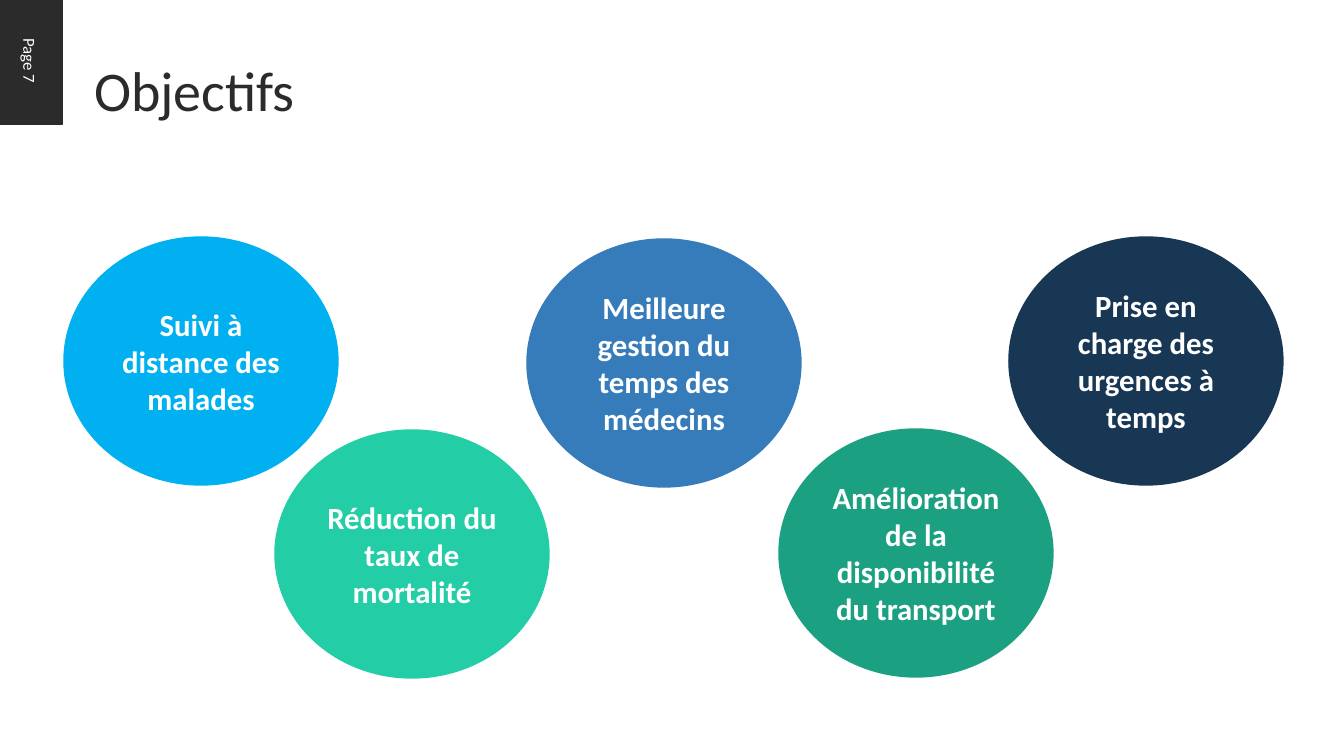
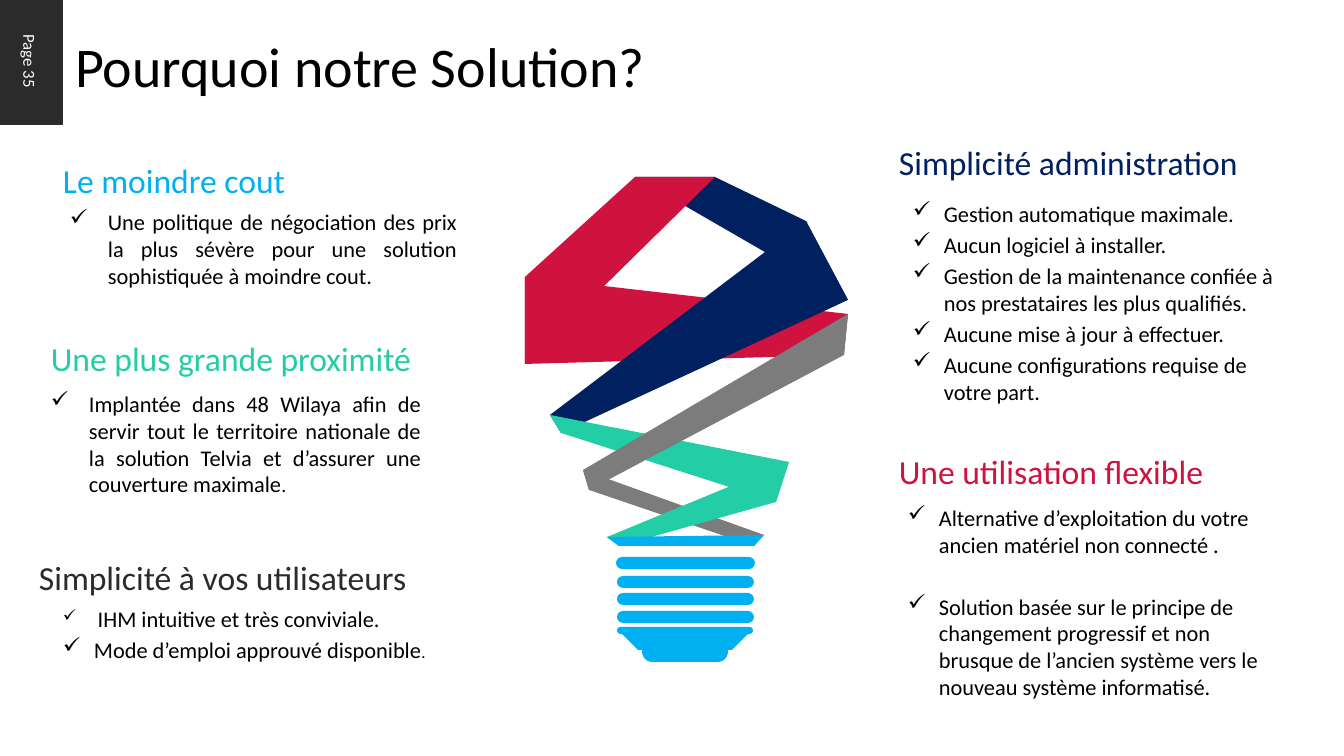
from lxml import etree
from pptx import Presentation
from pptx.dml.color import RGBColor
from pptx.enum.shapes import MSO_SHAPE
from pptx.enum.text import MSO_ANCHOR, MSO_AUTO_SIZE, PP_ALIGN
from pptx.oxml.ns import qn
from pptx.util import Pt

SCALE = 914400 / 100.8  # EMU in one px
FONT = "Calibri"
COLORS = {
    "dark": "2B2B2B", "white": "FFFFFF", "black": "000000", "sky": "00B0F0",
    "blue": "367BBA", "mint": "23CDA5", "night": "183754", "green": "1BA181",
    "navy": "002060", "red": "CF123E", "gray": "7C7C7C",
}


def px(*lengths):
    return [round(n * SCALE) for n in lengths]


def rgb(name):
    return RGBColor.from_string(COLORS[name])


def write(p, text, size=16, color="black", bold=False, align=PP_ALIGN.LEFT):
    """Fill a paragraph with a string, or with a list of (string, size) runs."""
    p.alignment = align
    runs = [(text, size)] if isinstance(text, str) else text
    for part, part_size in runs:
        r = p.add_run()
        r.text = part
        r.font.name = FONT
        r.font.size = Pt(part_size)
        r.font.bold = bold
        r.font.color.rgb = rgb(color)


def add_check(p, indent):
    """Give a paragraph a hanging check mark."""
    pPr = p._p.get_or_add_pPr()
    width, = px(indent)
    pPr.set("marL", str(width))
    pPr.set("indent", str(-width))
    etree.SubElement(pPr, qn("a:buChar")).set("char", "✓")


class Deck:
    def __init__(self):
        self.prs = Presentation()
        self.prs.slide_width, self.prs.slide_height = px(1344, 756)
        self.slide = None

    def new_slide(self, title, page, box, color):
        self.slide = self.prs.slides.add_slide(self.prs.slide_layouts[5])
        sp = self.slide.shapes.title
        sp.left, sp.top, sp.width, sp.height = px(*box)
        tf = sp.text_frame
        tf.auto_size = MSO_AUTO_SIZE.NONE
        tf.vertical_anchor = MSO_ANCHOR.TOP
        write(tf.paragraphs[0], title, size=40, color=color)
        tab = self.shape(MSO_SHAPE.RECTANGLE, (-34, 29, 128, 64), "dark", line=0.75)
        tab.rotation = 90
        self.label(tab, f"Page {page}", size=12)

    def paint(self, sp, color, line=0):
        sp.shadow.inherit = False
        sp.fill.solid()
        sp.fill.fore_color.rgb = rgb(color)
        if line:
            sp.line.color.rgb = rgb(color)
            sp.line.width = Pt(line)
        else:
            sp.line.fill.background()

    def shape(self, kind, box, color, line=0):
        sp = self.slide.shapes.add_shape(kind, *px(*box))
        self.paint(sp, color, line)
        return sp

    def label(self, sp, text, **style):
        tf = sp.text_frame
        tf.word_wrap = True
        tf.vertical_anchor = MSO_ANCHOR.MIDDLE
        write(tf.paragraphs[0], text, color="white", align=PP_ALIGN.CENTER, **style)

    def circle(self, x, y, color, text):
        sp = self.shape(MSO_SHAPE.OVAL, (x, y, 274, 248), color, line=1)
        self.label(sp, text, size=22, bold=True)

    def pill(self, box, color):
        self.shape(MSO_SHAPE.ROUNDED_RECTANGLE, box, color).adjustments[0] = 0.5

    def polygon(self, points, color):
        builder = self.slide.shapes.build_freeform(*points[0], scale=SCALE)
        builder.add_line_segments(points[1:], close=True)
        self.paint(builder.convert_to_shape(), color)

    def text_box(self, box):
        tf = self.slide.shapes.add_textbox(*px(*box)).text_frame
        tf.word_wrap = True
        return tf

    def heading(self, box, text, color):
        write(self.text_box(box).paragraphs[0], text, size=24, color=color)

    def checklist(self, box, items, indent=31, gap=3, align=PP_ALIGN.LEFT):
        tf = self.text_box(box)
        for i, item in enumerate(items):
            p = tf.add_paragraph() if i else tf.paragraphs[0]
            write(p, item, align=align)
            p.space_before = Pt(gap if i else 0)
            add_check(p, indent)


def build_goals(deck):
    deck.new_slide("Objectifs", 7, (84, 50, 715, 78), "dark")
    for x, y, color, text in [
        (64, 237, "sky", "Suivi à distance des malades"),
        (527, 239, "blue", "Meilleure gestion du temps des médecins"),
        (275, 430, "mint", "Réduction du taux de mortalité"),
        (1009, 237, "night", "Prise en charge des urgences à temps"),
        (779, 429, "green", "Amélioration de la disponibilité du transport"),
    ]:
        deck.circle(x, y, color, text)


def draw_bulb(deck):
    """Draw the screw base, then the folded ribbon from back to front."""
    deck.pill((642, 641, 86, 21), "sky")
    deck.polygon([(621, 633), (749, 633), (732, 650), (638, 650)], "sky")
    deck.pill((616, 557, 139, 12), "sky")
    for y in (576, 593, 611):
        deck.pill((617, y, 137, 12), "sky")
    deck.pill((617, 627, 136, 7), "sky")

    crown_left, crown_right = (635, 177), (715, 177)
    shoulder, elbow = (806, 221), (848, 300)
    left_top, left_bottom = (525, 277), (525, 364)
    right_top, right_bottom = (848, 314), (844, 355)
    fold_top, fold_bottom = (550, 415), (561, 433)
    bend_top, bend_bottom = (789, 462), (776, 502)
    neck_top, neck_bottom = (583, 470), (589, 490)
    collar = [(607, 537), (764, 535), (754, 546), (619, 546)]
    for color, points in [
        ("navy", [crown_left, elbow, shoulder, crown_right]),
        ("red", [left_top, right_top, right_bottom, left_bottom]),
        ("navy", [shoulder, fold_top, fold_bottom, elbow]),
        ("mint", [fold_top, bend_top, bend_bottom, fold_bottom]),
        ("gray", [right_top, neck_top, neck_bottom, right_bottom]),
        ("gray", [neck_top, collar[1], collar[2], neck_bottom]),
        ("red", [crown_left, left_top, left_bottom, crown_right]),
        ("mint", [collar[3], bend_bottom, bend_top, collar[0]]),
        ("sky", collar),
    ]:
        deck.polygon(points, color)


def build_reasons(deck):
    deck.new_slide("Pourquoi notre Solution?", 35, (65, 26, 1028, 78), "black")
    draw_bulb(deck)
    for box, color, text in [
        ((53, 155, 373, 50), "sky", "Le moindre cout"),
        ((41, 333, 407, 50), "mint", "Une plus grande proximité"),
        ((29, 552, 419, 50), "dark", "Simplicité à vos utilisateurs"),
        ((889, 137, 400, 50), "navy", "Simplicité administration"),
        ((889, 446, 359, 57), "red", "Une utilisation flexible"),
    ]:
        deck.heading(box, text, color)

    justified = {"indent": 38, "align": PP_ALIGN.JUSTIFY}
    deck.checklist((60, 203, 407, 112), [
        "Une politique de négociation des prix la plus sévère pour une solution "
        "sophistiquée à moindre cout.",
    ], **justified)
    deck.checklist((41, 385, 390, 139), [
        [("Implantée dans 48 Wilaya afin de servir tout le territoire nationale de la "
          "solution Telvia et d’assurer une couverture maximale", 16), (".", 14)],
    ], **justified)
    deck.checklist((53, 600, 395, 91), [
        [(" ", 12), ("IHM intuitive et très conviviale.", 16)],
        [("Mode d’emploi approuvé disponible", 16), (".", 12)],
    ])
    deck.checklist((903, 195, 391, 242), [
        "Gestion automatique maximale.",
        "Aucun logiciel à installer.",
        "Gestion de la maintenance confiée à nos prestataires les plus qualifiés.",
        "Aucune mise à jour à effectuer.",
        "Aucune configurations requise de votre part.",
    ])
    deck.checklist((898, 499, 391, 232), [
        "Alternative d’exploitation du votre ancien matériel non connecté .",
        "Solution basée sur le principe de changement progressif et non brusque de "
        "l’ancien système vers le nouveau système informatisé.",
    ], gap=25)


def main():
    deck = Deck()
    build_goals(deck)
    build_reasons(deck)
    deck.prs.save("out.pptx")


if __name__ == "__main__":
    main()
